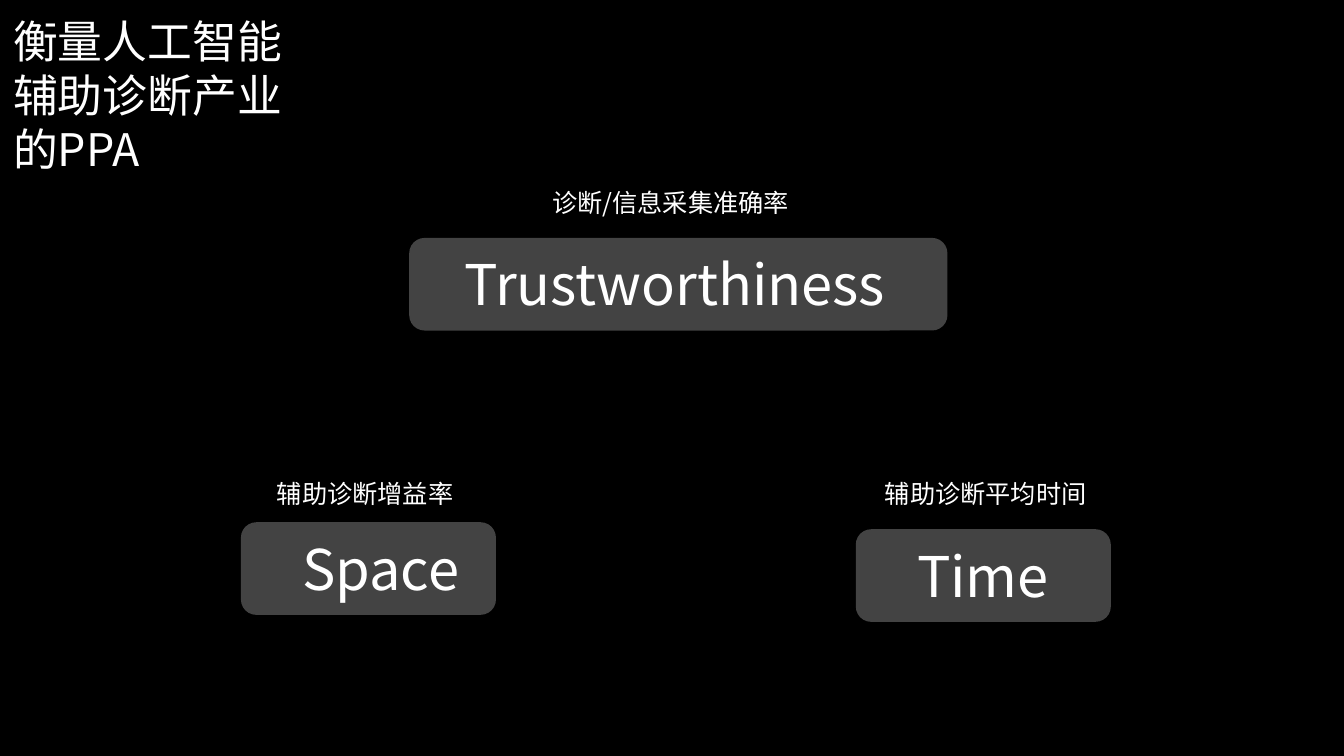
from lxml.etree import SubElement
from pptx import Presentation
from pptx.dml.color import RGBColor
from pptx.enum.shapes import MSO_SHAPE
from pptx.enum.text import MSO_AUTO_SIZE
from pptx.oxml.ns import qn
from pptx.util import Pt

BLACK = RGBColor(0x00, 0x00, 0x00)
WHITE = RGBColor(0xFF, 0xFF, 0xFF)
GREY = RGBColor(0x80, 0x80, 0x80)
FONT = "Noto Sans CJK SC"
BOX_HEIGHT = 66.2
CAPTION_WIDTH = 314.6

METRICS = [
    {"name": "Time", "box": (611.3, 378, 182.2), "inset": 36.7, "text_width": 167,
     "caption": "辅助诊断平均时间", "offset": (13.7, -39.6)},
    {"name": "Space", "box": (172.1, 373, 182.2), "inset": 36.7, "text_width": 167,
     "caption": "辅助诊断增益率", "offset": (18.7, -34.6)},
    {"name": "Trustworthiness", "box": (292.3, 169.9, 384.5), "inset": 32.4,
     "text_width": 320.4, "caption": "诊断/信息采集准确率", "offset": (95.1, -39.6)},
]


def add_text(shapes, box, lines, size):
    """Place white left-aligned paragraphs in a text box."""
    sp = shapes.add_textbox(*map(Pt, box))
    tf = sp.text_frame
    tf.word_wrap = True
    tf.auto_size = MSO_AUTO_SIZE.SHAPE_TO_FIT_TEXT
    for i, line in enumerate(lines):
        p = tf.paragraphs[0] if i == 0 else tf.add_paragraph()
        r = p.add_run()
        r.text = line
        for key, value in {"name": FONT, "size": Pt(size)}.items():
            setattr(r.font, key, value)
        r.font.color.rgb = WHITE
        SubElement(r.font._element, qn("a:ea")).set("typeface", FONT)


def add_metric(s, box, metric):
    """Draw a translucent rounded box with its name inside and caption above."""
    x, y, width = box
    group = s.shapes.add_group_shape()
    sp = group.shapes.add_shape(
        MSO_SHAPE.ROUNDED_RECTANGLE, *map(Pt, (x, y, width, BOX_HEIGHT)))
    sp.shadow.inherit = False
    sp.fill.solid()
    sp.fill.fore_color.rgb = GREY
    color = sp._element.spPr.find(qn("a:solidFill"))[0]
    SubElement(color, qn("a:alpha")).set("val", "53000")
    sp.line.fill.background()
    name_box = (x + metric["inset"], y + 5, metric["text_width"], 55.7)
    add_text(group.shapes, name_box, [metric["name"]], 40)
    dx, dy = metric["offset"]
    add_text(s.shapes, (x + dx, y + dy, CAPTION_WIDTH, 29), [metric["caption"]], 18)


def build_slide(prs):
    """Build the black slide with its title and three metrics."""
    s = prs.slides.add_slide(prs.slide_layouts[6])
    s.background.fill.solid()
    s.background.fill.fore_color.rgb = BLACK
    add_text(s.shapes, (2.2, 6.5, 217.4, 123.8), ["衡量人工智能辅助诊断产业", "的PPA"], 32)
    for metric in METRICS:
        add_metric(s, metric["box"], metric)


def main():
    """Create and save the presentation."""
    prs = Presentation()
    prs.slide_width, prs.slide_height = Pt(960), Pt(540)
    build_slide(prs)
    prs.save("out.pptx")


if __name__ == "__main__":
    main()
